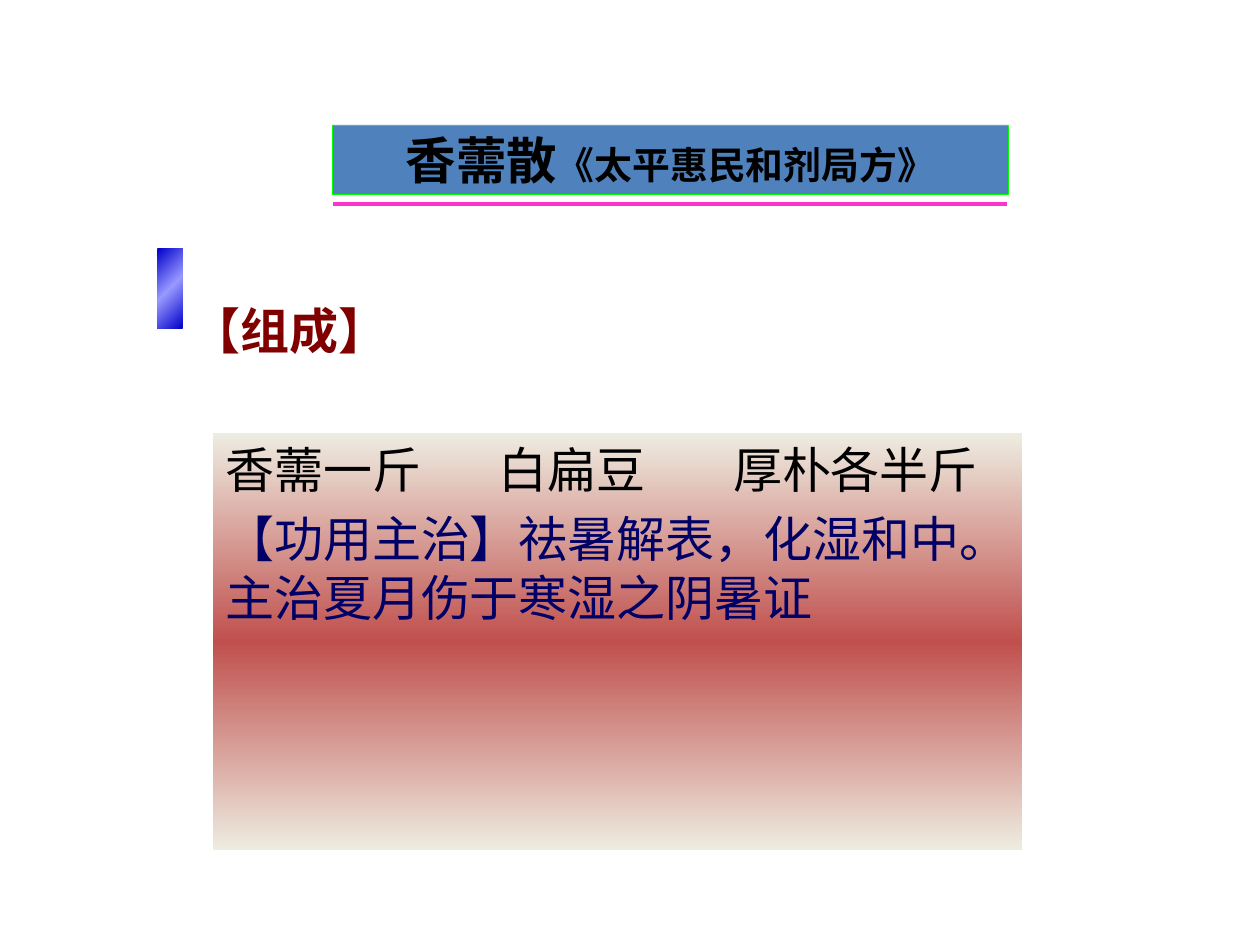
from copy import deepcopy

from lxml import etree
from pptx import Presentation
from pptx.dml.color import RGBColor
from pptx.enum.shapes import MSO_CONNECTOR, MSO_SHAPE
from pptx.enum.text import MSO_ANCHOR, MSO_AUTO_SIZE, PP_ALIGN
from pptx.oxml.ns import qn
from pptx.util import Inches, Pt

RECTANGLE = MSO_SHAPE.RECTANGLE
STRAIGHT = MSO_CONNECTOR.STRAIGHT
MIDDLE, TOP = MSO_ANCHOR.MIDDLE, MSO_ANCHOR.TOP
NO_FIT = MSO_AUTO_SIZE.NONE
LEFT, CENTER = PP_ALIGN.LEFT, PP_ALIGN.CENTER

BLACK = RGBColor(0x00, 0x00, 0x00)
BANNER_BLUE = RGBColor(0x4F, 0x81, 0xBD)
BANNER_EDGE = RGBColor(0x00, 0xFF, 0x00)
RULE_PINK = RGBColor(0xFF, 0x33, 0xCC)
HEADING_RED = RGBColor(0x80, 0x00, 0x00)
TEXT_NAVY = RGBColor(0x00, 0x00, 0x66)
PANEL_CREAM = RGBColor(0xEE, 0xEC, 0xE1)
PANEL_RED = RGBColor(0xC0, 0x50, 0x4D)
MARKER_BLUE = RGBColor(0x00, 0x00, 0xCC)
MARKER_LIGHT = RGBColor(0x99, 0x99, 0xFF)

LATIN_FONT = "Calibri"
TITLE_FONT = "Noto Sans CJK SC"
BODY_FONT = "Noto Sans CJK JP"


def add_text(paragraph, text, size=28, color=BLACK, bold=False,
             latin=BODY_FONT, east_asian=BODY_FONT):
    run = paragraph.add_run()
    run.text = text
    font = run.font
    font.size, font.bold, font.name = Pt(size), bold, latin
    font.color.rgb = color
    properties = run._r.get_or_add_rPr()
    etree.SubElement(properties, qn("a:ea")).set("typeface", east_asian)


def add_tab_stops(paragraph, positions):
    tab_list = etree.SubElement(paragraph._p.get_or_add_pPr(), qn("a:tabLst"))
    for position in positions:
        tab = etree.SubElement(tab_list, qn("a:tab"))
        tab.set("pos", str(position))
        tab.set("algn", "l")


def add_gradient_box(slide, box, edge_color, middle_color, angle):
    """Add a rectangle shaded edge-middle-edge; angle is counter-clockwise."""
    shape = slide.shapes.add_shape(RECTANGLE, *box)
    shape.shadow.inherit = False
    shape.line.fill.background()
    shape.fill.gradient()
    shape.fill.gradient_angle = angle
    stop_list = shape._element.spPr.find(".//" + qn("a:gsLst"))
    stop_list.insert(1, deepcopy(stop_list[0]))
    colors = (edge_color, middle_color, edge_color)
    for index, (stop, color) in enumerate(zip(shape.fill.gradient_stops, colors)):
        stop.position = index / 2
        stop.color.rgb = color
    return shape


def add_title_banner(slide, left, top, width, height):
    title = slide.shapes.title
    title.left, title.top, title.width, title.height = left, top, width, height
    title.fill.solid()
    title.fill.fore_color.rgb = BANNER_BLUE
    title.line.color.rgb = BANNER_EDGE
    title.line.width = Pt(0.25)
    frame = title.text_frame
    frame.auto_size = NO_FIT
    frame.vertical_anchor = MIDDLE
    paragraph = frame.paragraphs[0]
    paragraph.alignment = CENTER
    add_text(paragraph, "香薷散", size=28.8, bold=True,
             latin=LATIN_FONT, east_asian=TITLE_FONT)
    add_text(paragraph, "《太平惠民和剂局方》", size=21.6, bold=True,
             latin=TITLE_FONT, east_asian=TITLE_FONT)

    rule_top = top + height + Inches(0.08)
    rule_right = left + width - Inches(0.01)
    rule = slide.shapes.add_connector(STRAIGHT, left, rule_top, rule_right, rule_top)
    rule.line.color.rgb = RULE_PINK
    rule.line.width = Pt(2.25)
    etree.SubElement(rule._element.spPr, qn("a:effectLst"))


def add_section_heading(slide, left, top, width, height):
    marker_box = (left, top, Inches(0.2), Inches(0.64))
    add_gradient_box(slide, marker_box, MARKER_BLUE, MARKER_LIGHT, 315)
    indent, drop = Inches(0.17), Inches(0.42)
    heading = slide.shapes.add_textbox(left + indent, top + drop,
                                       width - indent, height - drop)
    heading.text_frame.word_wrap = False
    paragraph = heading.text_frame.paragraphs[0]
    paragraph.line_spacing = 0.9
    add_text(paragraph, "【组成】", color=HEADING_RED, bold=True)


def add_formula_panel(slide, left, top, width, height):
    panel = add_gradient_box(slide, (left, top, width, height),
                             PANEL_CREAM, PANEL_RED, 270)
    frame = panel.text_frame
    frame.word_wrap = True
    frame.vertical_anchor = TOP
    ingredients, effects = frame.paragraphs[0], frame.add_paragraph()
    for paragraph in (ingredients, effects):
        paragraph.alignment = LEFT
        paragraph.space_before = Pt(5.6)
    add_tab_stops(ingredients, (Inches(2.17), Inches(4.03)))
    add_text(ingredients, "香薷一斤\t白扁豆\t厚朴各半斤")
    add_text(effects, "【功用主治】祛暑解表，化湿和中。主治夏月伤于寒湿之阴暑证",
             color=TEXT_NAVY)


def main():
    presentation = Presentation()
    presentation.slide_width, presentation.slide_height = Inches(10), Inches(7.5)
    title_only = presentation.slide_layouts[5]
    slide = presentation.slides.add_slide(title_only)
    add_title_banner(slide, Inches(2.64), Inches(0.99), Inches(5.36), Inches(0.55))
    add_section_heading(slide, Inches(1.25), Inches(1.97), Inches(1.93), Inches(0.94))
    add_formula_panel(slide, Inches(1.69), Inches(3.44), Inches(6.42), Inches(3.31))
    presentation.save("out.pptx")


if __name__ == "__main__":
    main()
